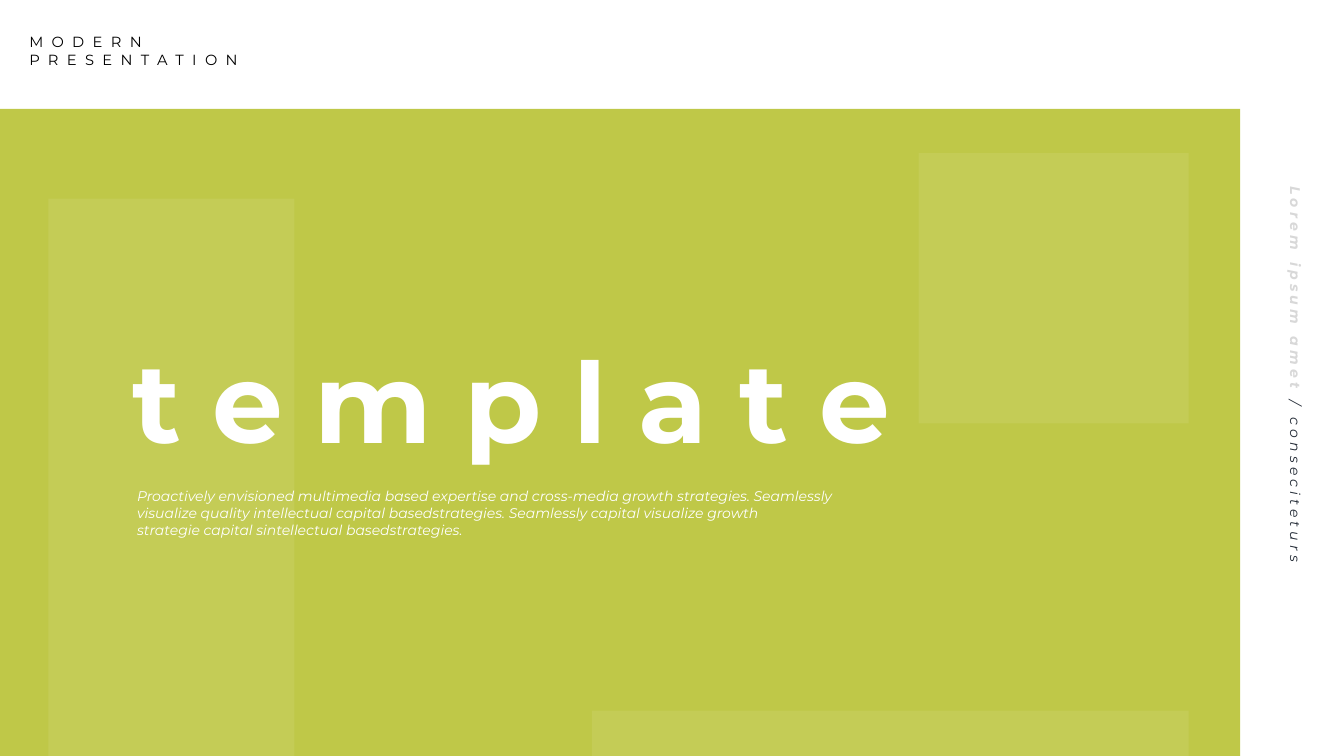
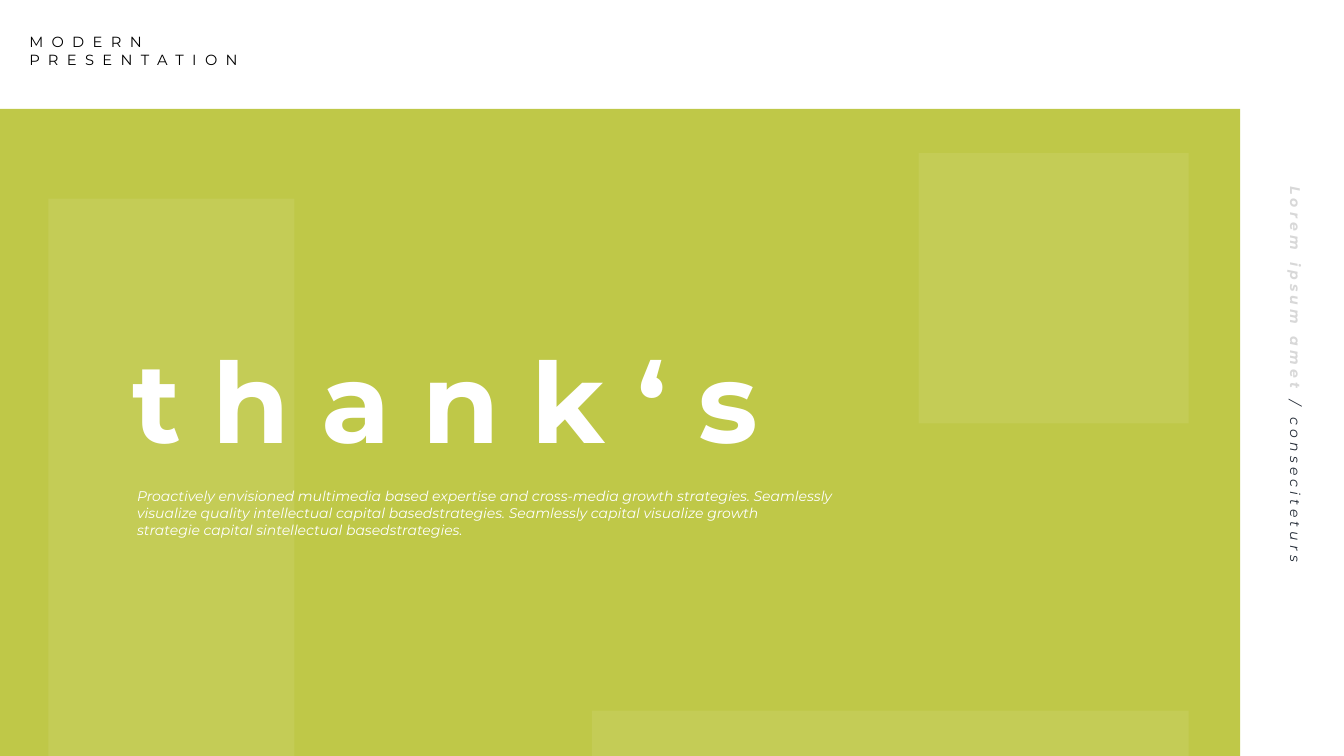
from lxml import etree
from pptx import Presentation, util as u
from pptx.dml.color import RGBColor
from pptx.enum import shapes, text
from pptx.oxml.ns import qn

COLORS = {"band": "BFC848", "panel": "D9DE91", "white": "FFFFFF",
          "black": "000000", "grey": "D8D8D8", "navy": "222A35"}
FONT = "Montserrat"
TITLES = ["t e m p l a t e", "t h a n k ‘ s"]
HEADER = ["MODERN", "PRESENTATION"]
INTRO = ["Proactively envisioned multimedia based expertise and cross-media growth strategies. "
         "Seamlessly visualize quality intellectual capital basedstrategies. "
         "Seamlessly capital visualize growth",
         "strategie capital sintellectual basedstrategies."]
PANELS = [(3.6, 26.27, 18.3, 73.73), (68.34, 20.27, 20.1, 35.73), (44.04, 94, 44.41, 6)]

prs = Presentation()
prs.slide_width, prs.slide_height = u.Inches(13.33), u.Inches(7.5)
COL, ROW = prs.slide_width / 100, prs.slide_height / 100


def cells(x, y, w, h):
    return round(x * COL), round(y * ROW), round(w * COL), round(h * ROW)


def write(sp, lines, size, color="white", bold=False, italic=False, spacing=0,
          align=text.PP_ALIGN.LEFT, leading=1.0, inset=(0, 0)):
    tf = sp.text_frame
    tf.word_wrap = True
    tf.auto_size = text.MSO_AUTO_SIZE.NONE
    tf.vertical_anchor = text.MSO_ANCHOR.TOP
    tf.margin_left = tf.margin_right = u.Inches(inset[0])
    tf.margin_top = tf.margin_bottom = u.Inches(inset[1])
    for i, line in enumerate(lines):
        p = tf.add_paragraph() if i else tf.paragraphs[0]
        p.alignment, p.line_spacing, p.space_before = align, leading, u.Pt(0)
        runs = [(line, color, bold)] if isinstance(line, str) else line
        for words, run_color, run_bold in runs:
            r = p.add_run()
            r.text = words
            r.font.name, r.font.size = FONT, u.Pt(size)
            r.font.bold, r.font.italic = run_bold, italic
            r.font.color.rgb = RGBColor.from_string(COLORS[run_color])
            r.font._element.set("spc", str(spacing * 100))


for title in TITLES:
    s = prs.slides.add_slide(prs.slide_layouts[0])
    heading, intro = s.placeholders

    band = (0, 14.4, 92.27, 85.6)
    for area in [band] + PANELS:
        sp = s.shapes.add_shape(shapes.MSO_SHAPE.RECTANGLE, *cells(*area))
        sp.shadow.inherit = False
        sp.line.fill.background()
        sp.fill.solid()
        sp.fill.fore_color.rgb = RGBColor.from_string(COLORS["band" if area == band else "panel"])
        if area != band:
            shade = sp.element.spPr.find(".//" + qn("a:srgbClr"))
            etree.SubElement(shade, qn("a:alpha")).set("val", "20000")

    sp = s.shapes.add_textbox(*cells(2.18, 4.4, 21.53, 4.67))
    write(sp, HEADER, 10.5, color="black", spacing=6)

    sp = s.shapes.add_textbox(*cells(69.62, 48.13, 53.71, 3.73))
    sp.rotation = 90
    write(sp, [[("Lorem ipsum amet ", "grey", True), ("/ conseciteturs ", "navy", False)]], 10,
          italic=True, spacing=3, align=text.PP_ALIGN.CENTER, leading=1.1, inset=(0.1, 0.05))

    for sp, area in [(heading, (9.08, 43.2, 60, 19.33)), (intro, (10.2, 64.53, 51.91, 6.67))]:
        sp.left, sp.top, sp.width, sp.height = cells(*area)
        sp.element.getparent().append(sp.element)
    write(heading, [title], 80, bold=True, inset=(0.1, 0.05))
    write(intro, INTRO, 10, italic=True)

prs.save("out.pptx")
